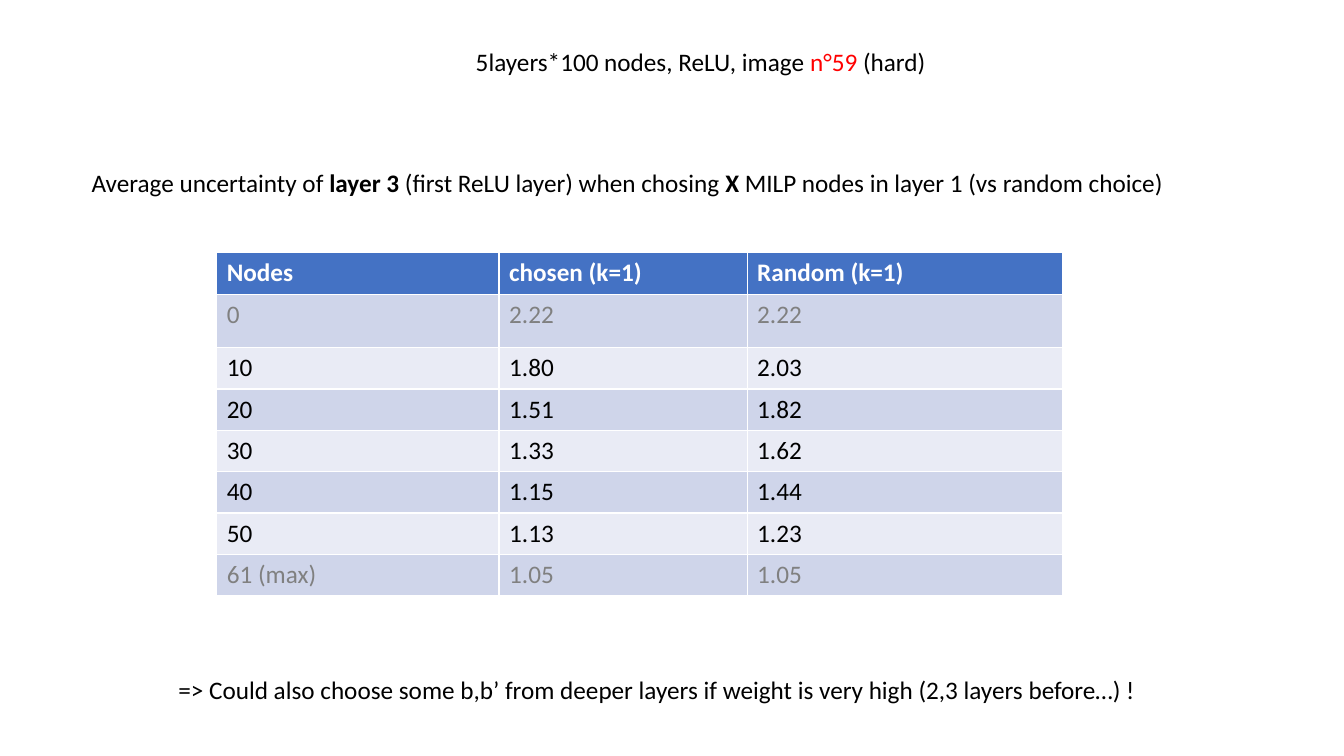
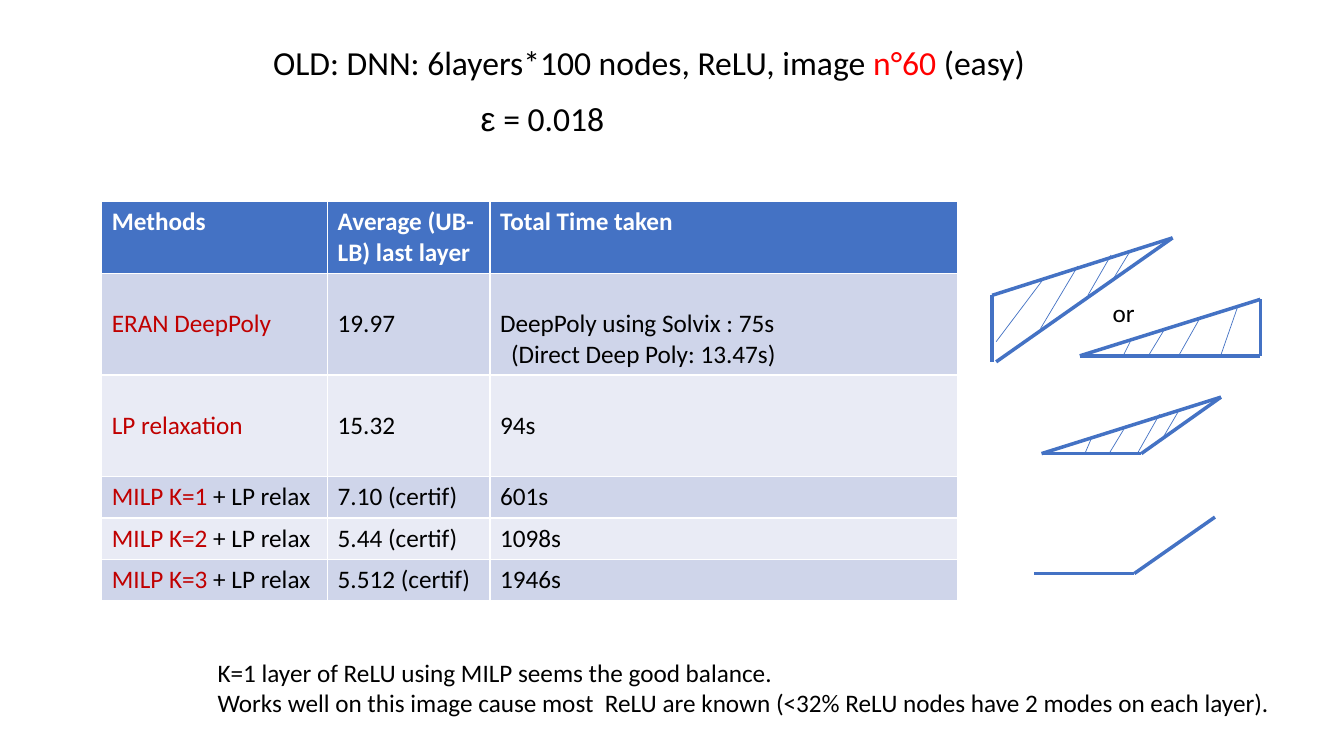
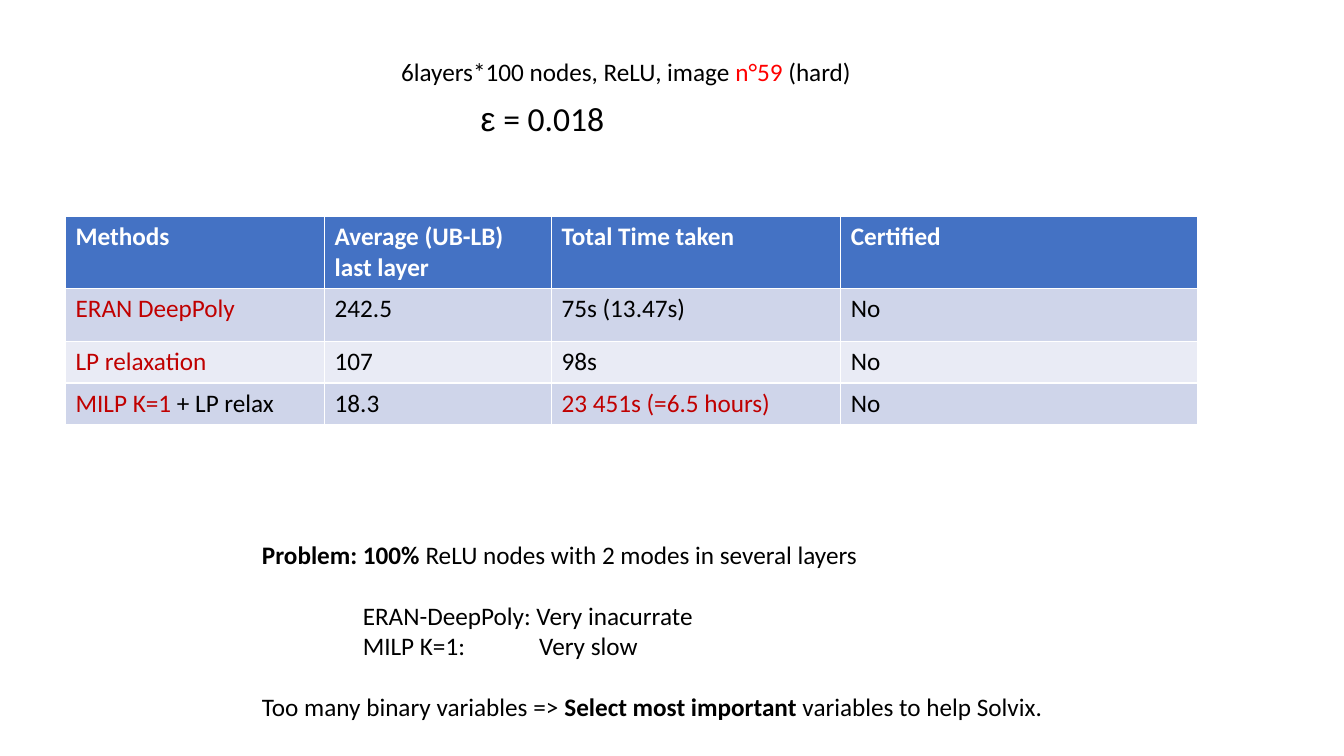
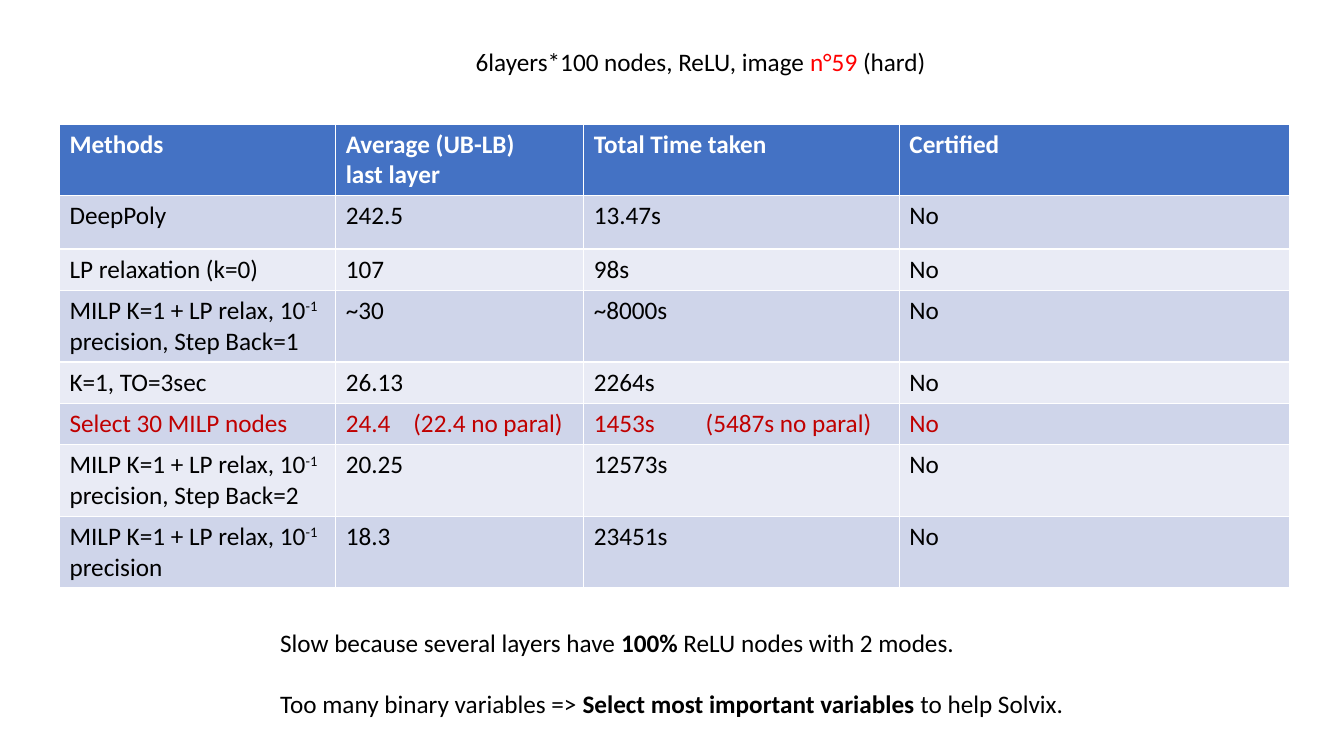
"""Build four slides comparing neural network verification methods."""
import itertools

import pptx
import pptx.dml.color
import pptx.enum.shapes
import pptx.enum.text
import pptx.oxml.ns
import pptx.util
from lxml import etree

Inches = pptx.util.Inches
Pt = pptx.util.Pt
RGBColor = pptx.dml.color.RGBColor
qn = pptx.oxml.ns.qn

BLACK = RGBColor(0x00, 0x00, 0x00)
WHITE = RGBColor(0xFF, 0xFF, 0xFF)
GRAY = RGBColor(0x80, 0x80, 0x80)
RED = RGBColor(0xFF, 0x00, 0x00)
DARK_RED = RGBColor(0xC0, 0x00, 0x00)
BLUE = RGBColor(0x44, 0x72, 0xC4)
BANDS = [RGBColor(0xE9, 0xEB, 0xF5), RGBColor(0xCF, 0xD5, 0xEA)]
FONT = "Calibri"
BODY, LARGE = 18, 24
LINE_GAP = Pt(22)


def write(tf, paragraphs, size=BODY, color=BLACK, bold=False, gaps=(), tabs=()):
    """Fill a text frame; gaps lists the paragraphs that follow an empty line."""
    tf.word_wrap = True
    for i, runs in enumerate([paragraphs] if isinstance(paragraphs, str) else paragraphs):
        p = tf.paragraphs[0] if i == 0 else tf.add_paragraph()
        if i in gaps:
            p.space_before = LINE_GAP
        for run in [runs] if isinstance(runs, str) else runs:
            text, style = (run, "") if isinstance(run, str) else run
            r = p.add_run()
            r.text = text
            r.font.size = Pt(size)
            r.font.name = "Arial" if style == "greek" else FONT
            r.font.bold = bold or style == "bold"
            r.font.color.rgb = {"red": RED, "dark": DARK_RED}.get(style, color)
            if style == "super":
                r.font._element.set("baseline", "30000")
        if tabs:
            tab_list = etree.SubElement(p._p.get_or_add_pPr(), qn("a:tabLst"))
            for pos in tabs:
                etree.SubElement(tab_list, qn("a:tab"), pos=str(Inches(pos)), algn="l")


def title(start, number, level):
    """Return the title line with its image number in red."""
    return [[f"{start}layers*100 nodes, ReLU, image ", (f"n°{number}", "red"), f" ({level})"]]


EPSILON = dict(at=(4.67, 0.92, 1.43, 0.5), text=[[("ε", "greek"), " = 0.018"]], size=LARGE)
HEADER = ["Methods", ["Average (UB-LB)", "last layer"], "Total Time taken", "Certified"]
MILP = ["MILP K=1 + LP relax, 10", ("-1 ", "super")]

slides = [
    dict(
        at=(2.15, 2.5), cols=[2.8, 2.46, 3.13], rows=[0.42, 0.53] + [0.41] * 6,
        colors={1: GRAY, 7: GRAY},
        cells=[
            ["Nodes", "chosen (k=1)", "Random (k=1)"],
            ["0", "2.22", "2.22"],
            ["10", "1.80", "2.03"],
            ["20", "1.51", "1.82"],
            ["30", "1.33", "1.62"],
            ["40", "1.15", "1.44"],
            ["50", "1.13", "1.23"],
            ["61 (max)", "1.05", "1.05"],
        ],
        boxes=[
            dict(at=(4.62, 0.41, 4.71, 0.4), text=title("5", 59, "hard")),
            dict(at=(0.81, 1.61, 10.89, 0.4), text=[[
                "Average uncertainty of ", ("layer 3", "bold"),
                " (first ReLU layer) when chosing ", ("X", "bold"),
                " MILP nodes in layer 1 (vs random choice)"]]),
            dict(at=(1.67, 6.64, 9.81, 0.4), text="=> Could also choose some b,b’ from deeper "
                 "layers if weight is very high (2,3 layers before…) !"),
        ],
    ),
    dict(
        at=(1.01, 2), cols=[2.24, 1.61, 4.64], rows=[0.71, 1.01, 1.01] + [0.41] * 3,
        tops={1: 0.35, 2: 0.35}, tabs={2: [0.11]},
        cells=[
            ["Methods", "Average (UB-LB) last layer", "Total Time taken"],
            [[[("ERAN DeepPoly", "dark")]], "19.97",
             ["DeepPoly using Solvix : 75s", "\t(Direct Deep Poly: 13.47s)"]],
            [[[("LP relaxation", "dark")]], "15.32", "94s"],
            [[[("MILP K=1", "dark"), " + LP relax"]], "7.10 (certif)", "601s"],
            [[[("MILP K=2 ", "dark"), "+ LP relax"]], "5.44 (certif)", "1098s"],
            [[[("MILP K=3 ", "dark"), "+ LP relax"]], "5.512 (certif)", "1946s"],
        ],
        boxes=[
            dict(at=(9.3, 2.9, 3.69, 0.4), text="or", center=True),
            dict(at=(2.61, 0.37, 7.72, 0.5), text=title("OLD: DNN: 6", 60, "easy"), size=LARGE),
            dict(at=(2.06, 6.47, 10.67, 0.71), text=[
                "K=1 layer of ReLU using MILP seems the good balance.",
                "Works well on this image cause most  ReLU are known "
                "(<32% ReLU nodes have 2 modes on each layer)."]),
            EPSILON,
        ],
    ),
    dict(
        at=(0.65, 2.15), cols=[2.57, 2.25, 2.87, 3.54], rows=[0.71, 0.53, 0.41, 0.41],
        cells=[
            HEADER,
            [[[("ERAN DeepPoly", "dark")]], "242.5", "75s (13.47s)", "No"],
            [[[("LP relaxation", "dark")]], "107", "98s", "No"],
            [[[("MILP K=1", "dark"), " + LP relax"]], "18.3",
             [[("23 451s (=6.5 hours)", "dark")]], "No"],
        ],
        boxes=[
            dict(at=(3.88, 0.51, 4.77, 0.4), text=title("6", 59, "hard")),
            dict(at=(2.5, 5.3, 9.04, 1.92), gaps=(1, 3), tabs=(1, 2.75), text=[
                [("Problem: 100% ", "bold"), "ReLU nodes with 2 modes in several layers"],
                "\tERAN-DeepPoly: Very inacurrate",
                "\tMILP K=1:\tVery slow",
                ["Too many binary variables => ", ("Select most important", "bold"),
                 " variables to help Solvix."]]),
            EPSILON,
        ],
    ),
    dict(
        at=(0.59, 1.23), cols=[2.74, 2.46, 3.13, 3.87],
        rows=[0.71, 0.53, 0.41, 0.71, 0.41, 0.41, 0.71, 0.71],
        colors={5: DARK_RED}, tabs={1: [0.67], 2: [1.11]},
        cells=[
            HEADER,
            ["DeepPoly", "242.5", "13.47s", "No"],
            ["LP relaxation (k=0)", "107", "98s", "No"],
            [[MILP + ["precision, Step Back=1"]], "~30", "~8000s", "No"],
            ["K=1, TO=3sec", "26.13", "2264s", "No"],
            ["Select 30 MILP nodes", "24.4\t(22.4 no paral)", "1453s\t(5487s no paral)", "No"],
            [[MILP + ["precision, Step Back=2"]], "20.25", "12573s", "No"],
            [[MILP + ["precision"]], "18.3", "23451s", "No"],
        ],
        boxes=[
            dict(at=(4.62, 0.41, 4.77, 0.4), text=title("6", 59, "hard")),
            dict(at=(2.68, 6.17, 9.13, 1.01), gaps=(1,), text=[
                ["Slow because several layers have ", ("100% ", "bold"),
                 "ReLU nodes with 2 modes."],
                ["Too many binary variables => ", ("Select most important variables", "bold"),
                 " to help Solvix."]]),
        ],
    ),
]

prs = pptx.Presentation()
prs.slide_width = Inches(13.33)
prs.slide_height = Inches(7.5)

for data in slides:
    slide = prs.slides.add_slide(prs.slide_layouts[6])
    cols, rows = data["cols"], data["rows"]
    left, top = data["at"]
    table = slide.shapes.add_table(len(rows), len(cols), Inches(left), Inches(top),
                                   Inches(sum(cols)), Inches(sum(rows))).table
    for column, width in zip(table.columns, cols):
        column.width = Inches(width)
    for i, texts in enumerate(data["cells"]):
        table.rows[i].height = Inches(rows[i])
        color = WHITE if i == 0 else data.get("colors", {}).get(i, BLACK)
        for j, text in enumerate(texts):
            cell = table.cell(i, j)
            cell.fill.solid()
            cell.fill.fore_color.rgb = BLUE if i == 0 else BANDS[i % 2]
            cell.margin_top = Inches(data.get("tops", {}).get(i, 0.05))
            write(cell.text_frame, text, color=color, bold=i == 0,
                  tabs=data.get("tabs", {}).get(j, ()))
    for box in data["boxes"]:
        sp = slide.shapes.add_textbox(*map(Inches, box["at"]))
        write(sp.text_frame, box["text"], box.get("size", BODY),
              gaps=box.get("gaps", ()), tabs=box.get("tabs", ()))
        if box.get("center"):
            sp.text_frame.paragraphs[0].alignment = pptx.enum.text.PP_ALIGN.CENTER

outlines = [
    [(10.26, 5.69), (11.25, 5.69), (12.05, 5.13)],
    [(10.33, 4.5), (11.32, 4.5), (12.11, 3.94), (10.33, 4.5)],
    [(9.88, 3.59), (11.63, 2.36), (9.84, 2.93), (9.84, 3.59)],
    [(10.71, 3.53), (12.5, 3.53), (12.5, 2.97), (10.71, 3.53)],
]
hatches = [
    [(10.76, 4.5), (10.82, 4.36)], [(11, 4.5), (11.17, 4.22)],
    [(11.28, 4.5), (11.5, 4.11)], [(11.53, 4.35), (11.7, 4.06)],
    [(9.88, 3.39), (10.34, 2.78)], [(10.32, 3.26), (10.69, 2.64)],
    [(10.79, 2.93), (11.02, 2.53)], [(11.04, 2.77), (11.21, 2.49)],
    [(11.14, 3.53), (11.21, 3.39)], [(11.39, 3.53), (11.56, 3.25)],
    [(11.69, 3.53), (11.91, 3.14)], [(12.11, 3.52), (12.28, 3.03)],
]
for weight, polylines in [(2.5, outlines), (0.5, hatches)]:
    for start, end in itertools.chain.from_iterable(zip(pts, pts[1:]) for pts in polylines):
        line = prs.slides[1].shapes.add_connector(
            pptx.enum.shapes.MSO_CONNECTOR.STRAIGHT, *map(Inches, start + end))
        line.line.color.rgb = BLUE
        line.line.width = Pt(weight)
        etree.SubElement(line._element.spPr, qn("a:effectLst"))

prs.save("out.pptx")
